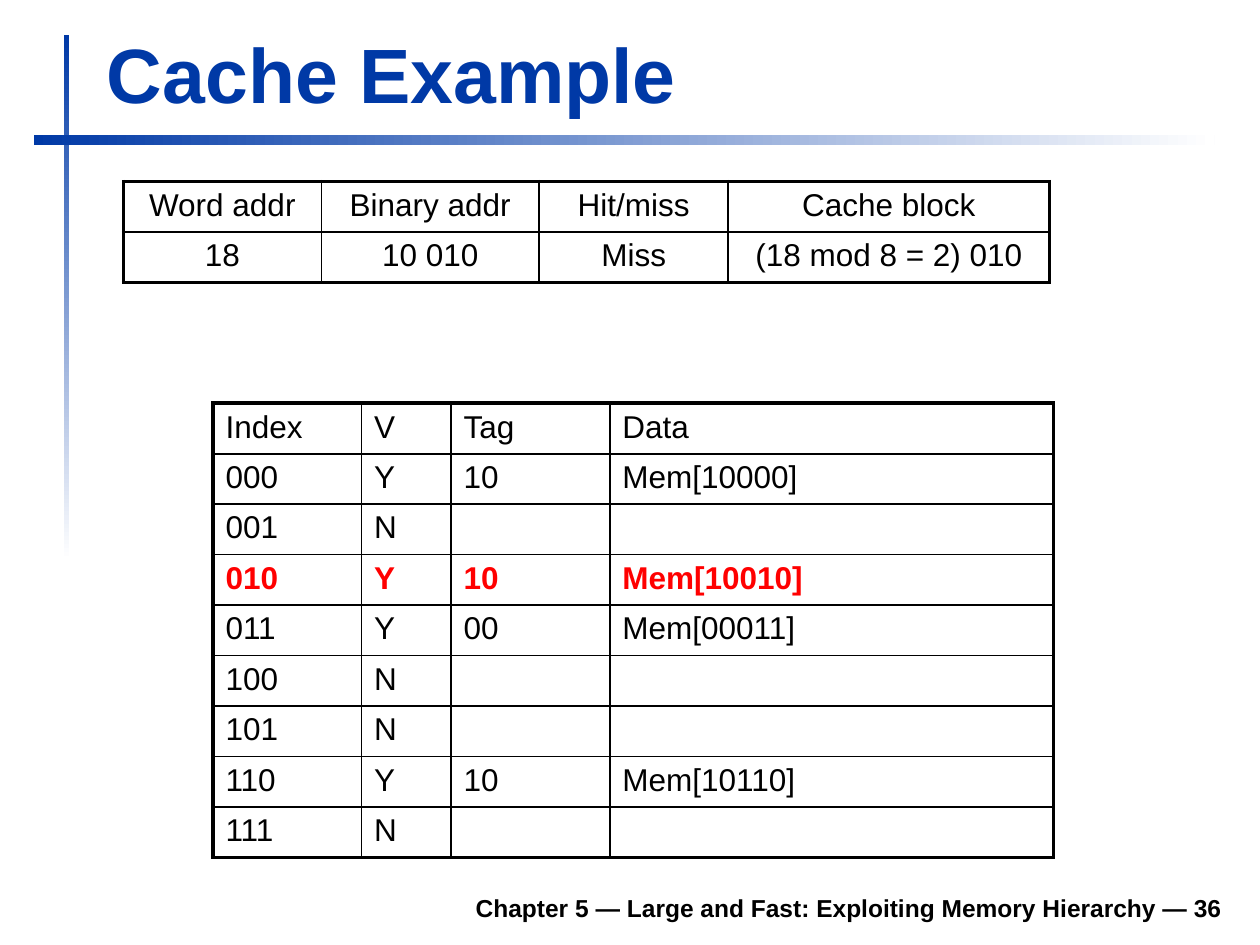
from lxml import etree
from pptx import Presentation, util as u
from pptx.dml.color import RGBColor
from pptx.enum import shapes, text
from pptx.oxml.ns import qn

THEME = {
    "font": "Arial", "blue": "0039A6", "white": "FFFFFF", "ink": "000000", "hot": "FF0000",
    "title": 44, "body": 18, "foot": 14,
    "edge": 2.25, "head": 1.5, "grid": 1,
}
WIDE, HIGH, ROW = 10, 7.5, 0.4
LEFT, MID, RIGHT = text.PP_ALIGN.LEFT, text.PP_ALIGN.CENTER, text.PP_ALIGN.RIGHT

# Place, size, gradient angle (counter-clockwise)
BARS = [((0.51, 0.28, 0.04, 4.17), 270), ((0.27, 1.07, 9.37, 0.08), 0)]
LABELS = [
    ("Chapter 5 — Large and Fast: Exploiting Memory Hierarchy — 36",
     (1.85, 6.98, 7.95, 0.39), "foot", "ink", RIGHT),
    ("Cache Example", (0.75, 0.16, 9.03, 0.83), "title", "blue", LEFT),
]
TABLES = [
    {"at": (1.69, 3.2), "cols": (1.18, 0.71, 1.26, 3.52), "align": LEFT, "hot": 3, "rows": [
        ("Index", "V", "Tag", "Data"),
        ("000", "Y", "10", "Mem[10000]"),
        ("001", "N", "", ""),
        ("010", "Y", "10", "Mem[10010]"),
        ("011", "Y", "00", "Mem[00011]"),
        ("100", "N", "", ""),
        ("101", "N", "", ""),
        ("110", "Y", "10", "Mem[10110]"),
        ("111", "N", "", ""),
    ]},
    {"at": (0.98, 1.44), "cols": (1.57, 1.73, 1.5, 2.55), "align": MID, "hot": None, "rows": [
        ("Word addr", "Binary addr", "Hit/miss", "Cache block"),
        ("18", "10 010", "Miss", "(18 mod 8 = 2) 010"),
    ]},
]


def color(key):
    return RGBColor.from_string(THEME[key])


def inches(vals):
    return [u.Inches(v) for v in vals]


def write(frame, words, size, ink, align, bold):
    para = frame.paragraphs[0]
    para.alignment = align
    if not words:
        return
    run = para.add_run()
    run.text = words
    look = {"name": THEME["font"], "size": u.Pt(THEME[size]), "bold": bold}
    for key, val in look.items():
        setattr(run.font, key, val)
    run.font.color.rgb = color(ink)


def add_bar(slide, box, angle):
    bar = slide.shapes.add_shape(shapes.MSO_SHAPE.RECTANGLE, *inches(box))
    bar.shadow.inherit = False
    bar.line.fill.background()
    bar.fill.gradient()
    bar.fill.gradient_angle = angle
    for stop, key in zip(bar.fill.gradient_stops, ("blue", "white")):
        stop.color.rgb = color(key)


def add_label(slide, words, box, size, ink, align):
    frame = slide.shapes.add_textbox(*inches(box)).text_frame
    frame.word_wrap = True
    frame.vertical_anchor = text.MSO_ANCHOR.BOTTOM
    write(frame, words, size, ink, align, True)


def add_edges(cell, widths):
    """Draw the left, right, top and bottom borders, in that order."""
    props = cell._tc.get_or_add_tcPr()
    for side, key in zip("LRTB", widths):
        line = etree.SubElement(props, qn(f"a:ln{side}"), w=str(u.Pt(THEME[key])))
        fill = etree.SubElement(line, qn("a:solidFill"))
        etree.SubElement(fill, qn("a:srgbClr"), val=THEME["ink"])


def rule(pos, last, first):
    """Name the line weight at a grid position; `first` is the one after the first band."""
    return "edge" if pos in (0, last) else first if pos == 1 else "grid"


def add_grid(slide, data):
    rows, cols = data["rows"], data["cols"]
    high, wide = len(rows), len(cols)
    box = (*data["at"], sum(cols), ROW * high)
    table = slide.shapes.add_table(high, wide, *inches(box)).table
    table.first_row = table.horz_banding = False
    for col, width in zip(table.columns, cols):
        col.width = u.Inches(width)
    for r, words in enumerate(rows):
        table.rows[r].height = u.Inches(ROW)
        hot = r == data["hot"]
        for c, word in enumerate(words):
            cell = table.cell(r, c)
            add_edges(cell, [rule(c, wide, "grid"), rule(c + 1, wide, "grid"),
                             rule(r, high, "head"), rule(r + 1, high, "head")])
            cell.fill.background()
            write(cell.text_frame, word, "body", "hot" if hot else "ink", data["align"], hot)


def main():
    deck = Presentation()
    deck.slide_width, deck.slide_height = inches((WIDE, HIGH))
    slide = deck.slides.add_slide(deck.slide_layouts[6])
    for bar in BARS:
        add_bar(slide, *bar)
    for label in LABELS:
        add_label(slide, *label)
    for data in TABLES:
        add_grid(slide, data)
    deck.save("out.pptx")


if __name__ == "__main__":
    main()
